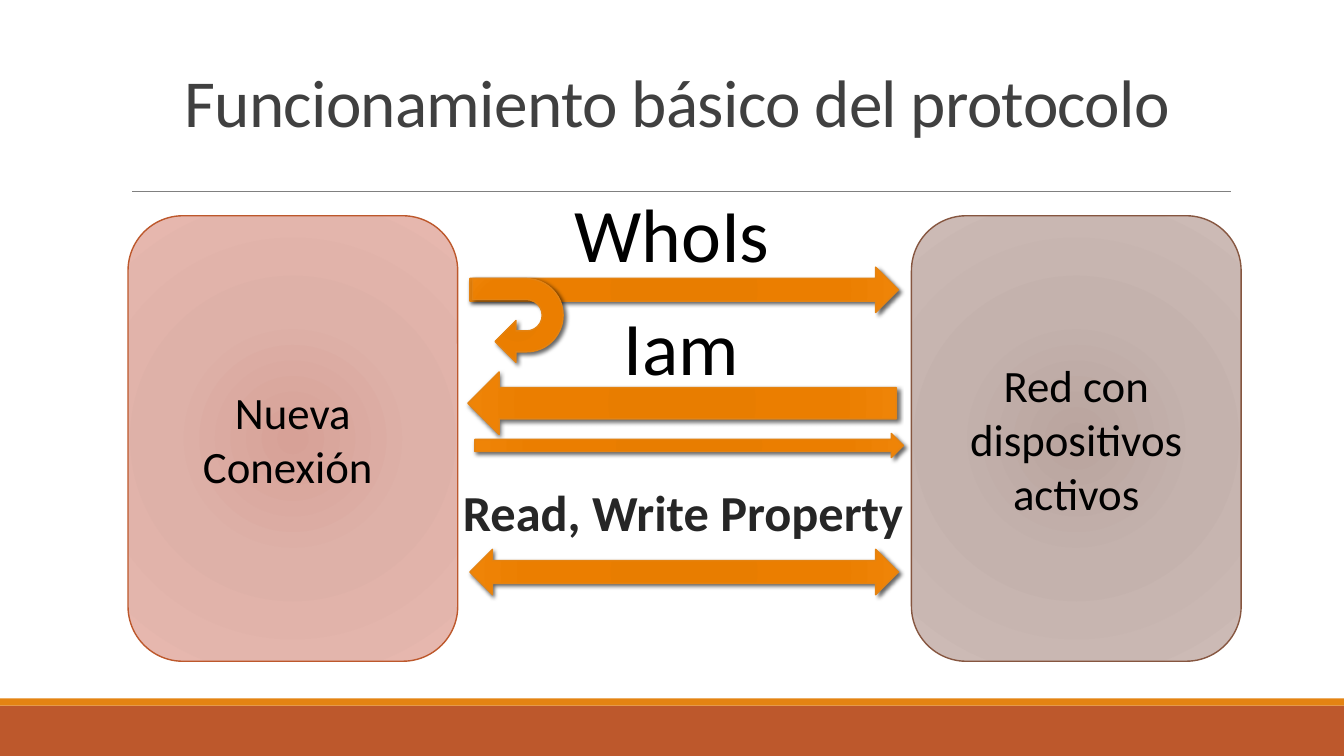
from dataclasses import dataclass
from lxml import etree
from pptx import Presentation
from pptx.dml.color import RGBColor
from pptx.enum.shapes import MSO_CONNECTOR, MSO_SHAPE
from pptx.enum.text import MSO_ANCHOR, PP_ALIGN
from pptx.oxml import parse_xml
from pptx.oxml.ns import nsdecls, qn
from pptx.util import Pt

PX = 9144
W, H = 1333, 750


@dataclass(frozen=True)
class Theme:
    font: str = "Calibri"
    ink: str = "000000"
    title: str = "404040"
    label: str = "262626"
    outline: str = "FFFFFF"
    rule: str = "808080"
    rust: str = "BD582C"
    brown: str = "865640"
    orange: str = "E48312"
    rust_fill: tuple = ((0, "D7A197"), (45, "DEB1A8"), (100, "E6B7AE"))
    brown_fill: tuple = ((0, "B9A49E"), (45, "C4B2AD"), (100, "CCBAB5"))
    arrow_fill: tuple = ((0, "E57B00"), (34, "E87D00"), (70, "EB7E00"), (100, "EF8407"))
    title_size: int = 48
    message_size: int = 54
    property_size: int = 36
    node_size: int = 32


T = Theme()


def emu(*lengths):
    return [n * PX for n in lengths]


def rgb(color):
    return RGBColor.from_string(color)


def write(shape, text, size, color=T.ink, align=PP_ALIGN.CENTER, anchor=MSO_ANCHOR.TOP,
          wrap=True, bold=False, line_spacing=None, tracking=None, outline=None):
    tf = shape.text_frame
    tf.word_wrap = wrap
    tf.vertical_anchor = anchor
    p = tf.paragraphs[0]
    p.alignment = align
    if line_spacing:
        p.line_spacing = line_spacing
    r = p.add_run()
    r.text = text
    r.font.name = T.font
    r.font.size = Pt(size)
    r.font.bold = bold
    r.font.color.rgb = rgb(color)
    rPr = r.font._element
    if tracking:
        rPr.set("spc", str(tracking))
    if outline:
        rPr.insert(0, parse_xml(
            f'<a:ln {nsdecls("a")} w="13462"><a:solidFill>'
            f'<a:srgbClr val="{outline}"/></a:solidFill></a:ln>'))


def add_text(s, box, text, size, **fmt):
    write(s.shapes.add_textbox(*emu(*box)), text, size, **fmt)


def add_bar(s, box, color):
    sp = s.shapes.add_shape(MSO_SHAPE.RECTANGLE, *emu(*box))
    sp.shadow.inherit = False
    sp.fill.solid()
    sp.fill.fore_color.rgb = rgb(color)
    sp.line.fill.background()


def add_radial(s, kind, box, stops, line):
    sp = s.shapes.add_shape(kind, *emu(*box))
    sp.shadow.inherit = False
    sp.fill.background()
    sp.line.color.rgb = rgb(line)
    sp.line.width = Pt(1)
    gs = "".join(f'<a:gs pos="{pos * 1000}"><a:srgbClr val="{color}"/></a:gs>'
                 for pos, color in stops)
    grad = parse_xml(
        f'<a:gradFill {nsdecls("a")} rotWithShape="1"><a:gsLst>{gs}</a:gsLst>'
        '<a:path path="circle"><a:fillToRect l="100000" t="100000" r="100000" b="100000"/>'
        '</a:path></a:gradFill>')
    spPr = sp._element.spPr
    spPr.replace(spPr.find(qn("a:noFill")), grad)
    return sp


def add_arrow(s, kind, box, rotation=0):
    sp = add_radial(s, kind, box, T.arrow_fill, T.orange)
    sp.rotation = rotation
    effects = sp._element.spPr.find(qn("a:effectLst"))
    shadow = etree.SubElement(effects, qn("a:outerShdw"), blurRad="38100", dist="25400",
                              dir="2700000", algn="ctr", rotWithShape="0")
    color = etree.SubElement(shadow, qn("a:srgbClr"), val="000000")
    etree.SubElement(color, qn("a:alpha"), val="60000")


def add_node(s, box, text, stops, line):
    sp = add_radial(s, MSO_SHAPE.ROUNDED_RECTANGLE, box, stops, line)
    write(sp, text, T.node_size, anchor=MSO_ANCHOR.MIDDLE)


def add_footer(s, box):
    x, y, w, h = box
    add_bar(s, (x, y + 7, w, h - 7), T.rust)
    add_bar(s, (x, y, w, 7), T.orange)


def add_header(s, box):
    x, y, w, h = box
    rule = s.shapes.add_connector(MSO_CONNECTOR.STRAIGHT,
                                  *emu(x, y + h, x + w, y + h))
    rule.line.color.rgb = rgb(T.rule)
    rule.line.width = Pt(0.5)
    etree.SubElement(rule._element.spPr, qn("a:effectLst"))
    add_text(s, (x + 42, y, 1150, 145), "Funcionamiento básico del protocolo",
             T.title_size, color=T.title, align=PP_ALIGN.LEFT,
             anchor=MSO_ANCHOR.BOTTOM, line_spacing=0.85, tracking=-50)


def add_messages(s, box):
    x, y, w, h = box
    add_arrow(s, MSO_SHAPE.RIGHT_ARROW, (x + 2, y + 51, w, 45))
    add_arrow(s, MSO_SHAPE.RIGHT_ARROW, (x, y + 155, w, 62), rotation=180)
    add_text(s, (x + 92, y - 33, 221, 101), "WhoIs", T.message_size, wrap=False)
    add_text(s, (x + 144, y + 79, 136, 101), "Iam", T.message_size, wrap=False)
    add_arrow(s, MSO_SHAPE.LEFT_RIGHT_ARROW, (x + 2, y + 331, w, 45))
    add_text(s, (x - 17, y + 258, 461, 71), "Read, Write Property", T.property_size,
             color=T.label, bold=True, wrap=False, outline=T.outline)
    add_arrow(s, MSO_SHAPE.U_TURN_ARROW, (x + 8, y + 59, 83, 90), rotation=90)
    add_arrow(s, MSO_SHAPE.RIGHT_ARROW, (x + 7, y + 216, w, 24))


def add_exchange(s, box):
    x, y, w, h = box
    node_w = 327
    add_node(s, (x + w - node_w, y, node_w, h), "Red con dispositivos activos",
             T.brown_fill, T.brown)
    add_node(s, (x, y, node_w, h), "Nueva Conexión ", T.rust_fill, T.rust)
    add_messages(s, (x + node_w + 10, y, 425, h))


def main():
    prs = Presentation()
    prs.slide_width, prs.slide_height = emu(W, H)
    s = prs.slides.add_slide(prs.slide_layouts[6])
    add_footer(s, (0, 693, W, 57))
    add_header(s, (131, 0, 1090, 190))
    add_exchange(s, (127, 214, 1104, 442))
    prs.save("out.pptx")


if __name__ == "__main__":
    main()
